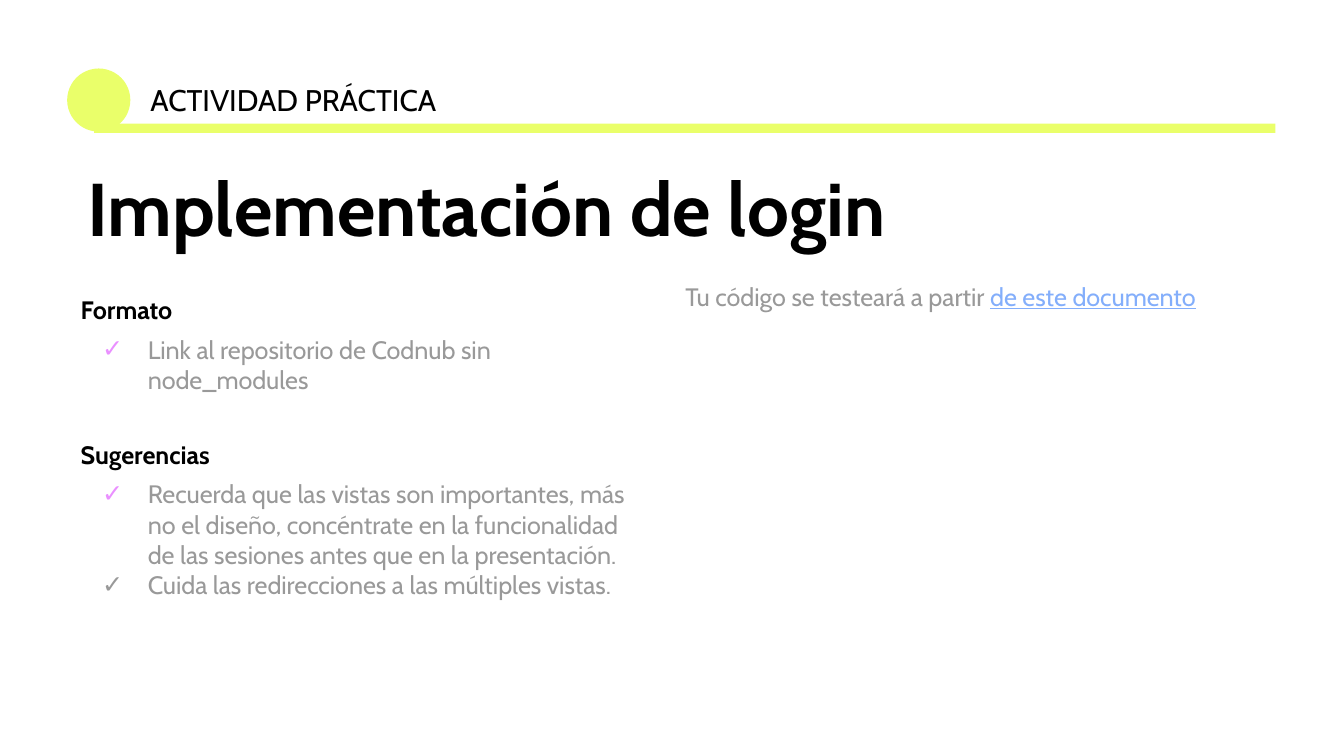
from dataclasses import dataclass

from lxml.etree import SubElement
from pptx import Presentation
from pptx.dml.color import RGBColor
from pptx.enum.shapes import MSO_SHAPE
from pptx.enum.text import MSO_ANCHOR, MSO_AUTO_SIZE, PP_ALIGN
from pptx.oxml.ns import qn
from pptx.util import Inches, Pt


@dataclass(frozen=True)
class Theme:
    font: str = "Cabin"
    ink: str = "000000"
    muted: str = "999999"
    link: str = "83AEFB"
    accent: str = "EAFF6A"
    check: str = "EA90FF"
    title_size: float = 40
    header_size: float = 16
    body_size: float = 13.5


def set_all(target, values):
    for name, value in values.items():
        setattr(target, name, value)


class SlideBuilder:
    def __init__(self, slide, theme):
        self.slide = slide
        self.theme = theme

    def place(self, shape, box):
        names = ("left", "top", "width", "height")
        set_all(shape, dict(zip(names, map(Inches, box))))
        inset = Inches(0.1)
        set_all(shape.text_frame, {
            "word_wrap": True,
            "auto_size": MSO_AUTO_SIZE.NONE,
            "vertical_anchor": MSO_ANCHOR.TOP,
            "margin_left": inset,
            "margin_right": inset,
            "margin_top": inset,
            "margin_bottom": inset,
        })
        return shape.text_frame

    def run(self, paragraph, text, size, color, bold=False, underline=False):
        run = paragraph.add_run()
        run.text = text
        set_all(run.font, {
            "name": self.theme.font,
            "size": Pt(size),
            "bold": bold,
            "underline": underline,
        })
        run.font.color.rgb = RGBColor.from_string(color)

    def paragraph(self, frame, before=0, spacing=1.0, bullet_color=None):
        first = frame.paragraphs[0]
        paragraph = frame.add_paragraph() if first.runs else first
        set_all(paragraph, {
            "alignment": PP_ALIGN.LEFT,
            "space_before": Pt(before),
            "line_spacing": spacing,
        })
        properties = paragraph._p.get_or_add_pPr()
        margin, indent = (0.5, -0.34) if bullet_color else (0, 0)
        properties.set("marL", str(Inches(margin)))
        properties.set("indent", str(Inches(indent)))
        if bullet_color:
            color = SubElement(properties, qn("a:buClr"))
            SubElement(color, qn("a:srgbClr"), val=bullet_color)
            SubElement(properties, qn("a:buFont"), typeface=self.theme.font)
            SubElement(properties, qn("a:buChar"), char="✓")
        else:
            SubElement(properties, qn("a:buNone"))
        return paragraph

    def title(self, text, box):
        frame = self.place(self.slide.shapes.title, box)
        paragraph = self.paragraph(frame, spacing=0.9)
        self.run(paragraph, text, self.theme.title_size, self.theme.ink, bold=True)

    def header(self, text, box):
        frame = self.place(self.slide.shapes.add_textbox(0, 0, 0, 0), box)
        self.run(self.paragraph(frame), text, self.theme.header_size, self.theme.ink)

    def sections(self, index, sections, box):
        theme = self.theme
        frame = self.place(self.slide.placeholders[index], box)
        for number, (heading, items) in enumerate(sections):
            paragraph = self.paragraph(frame, before=24 if number else 0)
            self.run(paragraph, heading, theme.body_size, theme.ink, bold=True)
            for position, item in enumerate(items):
                before, color = (0, theme.muted) if position else (5, theme.check)
                paragraph = self.paragraph(frame, before, bullet_color=color)
                self.run(paragraph, item, theme.body_size, theme.muted)

    def link_line(self, index, text, link_text, box):
        theme = self.theme
        frame = self.place(self.slide.placeholders[index], box)
        paragraph = self.paragraph(frame)
        self.run(paragraph, text, theme.body_size, theme.muted)
        self.run(paragraph, link_text, theme.body_size, theme.link, underline=True)

    def accent_shape(self, kind, box):
        shape = self.slide.shapes.add_shape(kind, *map(Inches, box))
        shape.shadow.inherit = False
        shape.fill.solid()
        shape.fill.fore_color.rgb = RGBColor.from_string(self.theme.accent)
        shape.line.fill.background()


def main():
    presentation = Presentation()
    width = Inches(10)
    set_all(presentation, {"slide_width": width, "slide_height": width * 9 // 16})
    slide = presentation.slides.add_slide(presentation.slide_layouts[3])
    builder = SlideBuilder(slide, Theme())

    builder.title("Implementación de login", (0.55, 1.18, 7.99, 0.81))
    builder.sections(1, [
        ("Formato", ["Link al repositorio de Codnub sin node_modules"]),
        ("Sugerencias", [
            "Recuerda que las vistas son importantes, más no el diseño, "
            "concéntrate en la funcionalidad de las sesiones antes que en "
            "la presentación.",
            "Cuida las redirecciones a las múltiples vistas.",
        ]),
    ], (0.5, 2.09, 4.36, 2.95))
    builder.link_line(2, "Tu código se testeará a partir ", "de este documento",
                      (5, 1.99, 4.19, 0.66))
    builder.accent_shape(MSO_SHAPE.OVAL, (0.5, 0.51, 0.47, 0.47))
    builder.header("ACTIVIDAD PRÁCTICA", (1.02, 0.51, 2.69, 0.47))
    builder.accent_shape(MSO_SHAPE.RECTANGLE, (0.7, 0.92, 8.79, 0.07))

    presentation.save("out.pptx")


if __name__ == "__main__":
    main()
